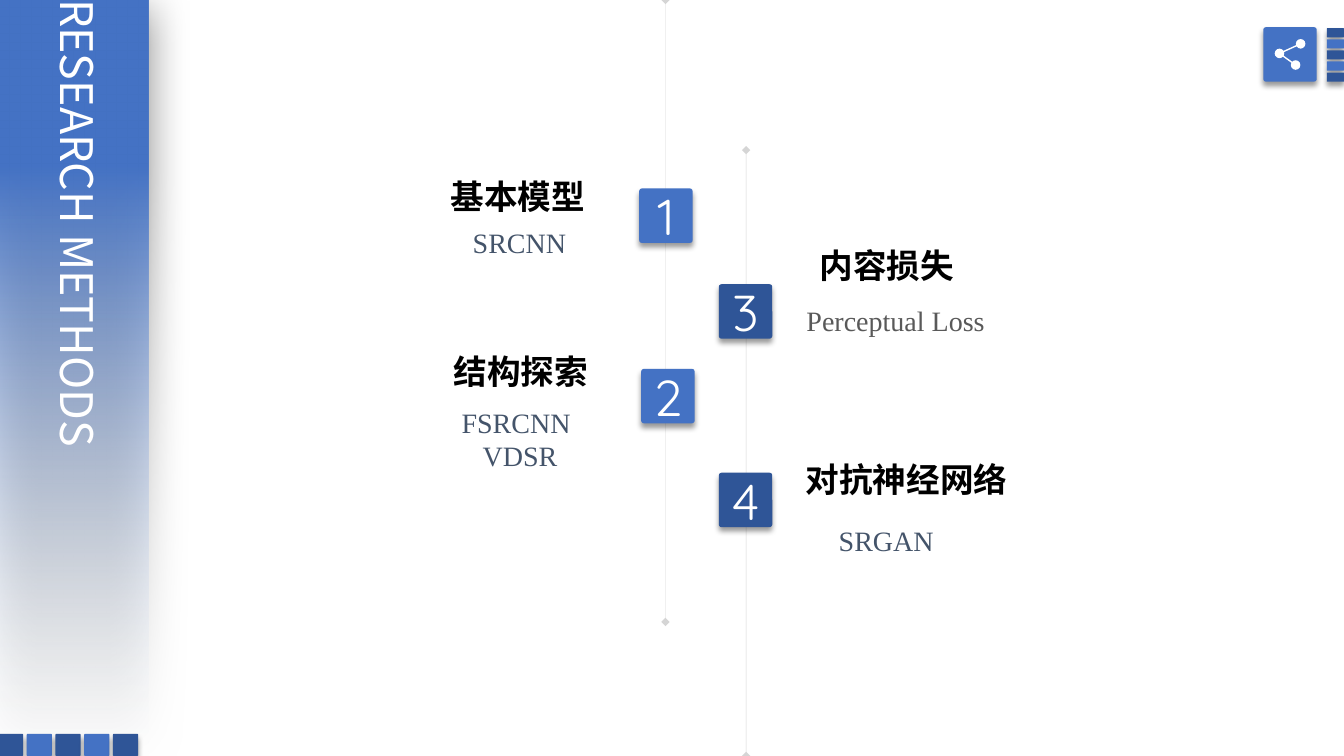
import pptx
import pptx.util
import pptx.dml.color
import pptx.enum.shapes
import pptx.enum.text
import pptx.oxml
import pptx.oxml.ns

RGBColor = pptx.dml.color.RGBColor
MSO_SHAPE = pptx.enum.shapes.MSO_SHAPE
MSO_ANCHOR = pptx.enum.text.MSO_ANCHOR
MSO_AUTO_SIZE = pptx.enum.text.MSO_AUTO_SIZE
PP_ALIGN = pptx.enum.text.PP_ALIGN
Pt = pptx.util.Pt

BLUE = RGBColor(0x44, 0x72, 0xC4)
NAVY = RGBColor(0x2F, 0x55, 0x97)
PALE = RGBColor(0xF7, 0xFA, 0xFD)
WHITE = RGBColor(0xFF, 0xFF, 0xFF)
BLACK = RGBColor(0, 0, 0)
SLATE = RGBColor(0x44, 0x54, 0x6A)
GRAY = RGBColor(0x59, 0x59, 0x59)
LINE_GRAY = RGBColor(0x80, 0x80, 0x80)

HAN, DIGIT, LATIN = "Noto Sans CJK SC", "Quicksand", "Times New Roman"

# All places and sizes are in grid cells, ten to the inch.
CELL = pptx.util.Inches(0.1)
SLIDE_COLUMNS, SLIDE_ROWS = 133.3, 75

TITLE = "RESEARCH METHODS"
TITLE_BOX = (4, -0.6, 7.4, 57.5)
BANNER = (0, 0, 14.7, 74.6)
TIMELINES = [(74, 14.9, 75), (66, 0, 61.7)]  # column, first row, last row

# number, colour, badge place, heading, heading box, models, models box, models colour
METHODS = [
    ("1", BLUE, (63.4, 18.7), "基本模型", (43.6, 17, 15.5, 5),
     ["SRCNN"], (45.9, 21.9, 11.4, 4.4), SLATE),
    ("2", BLUE, (63.6, 36.6), "结构探索", (43.9, 34.3, 15.5, 5),
     ["FSRCNN", "VDSR"], (44.8, 39.7, 13, 7.7), SLATE),
    ("3", NAVY, (71.3, 28.2), "内容损失", (80.2, 23.8, 15.5, 5),
     ["Perceptual Loss"], (79, 29.6, 19.8, 4.4), GRAY),
    ("4", NAVY, (71.3, 46.9), "对抗神经网络", (78.8, 45, 22.2, 5),
     ["SRGAN"], (82.2, 51.4, 11.6, 4.4), SLATE),
]
BADGE_SIZE = (5.3, 5.4)
SECOND_MODEL_INDENT = Pt(15)

STRIP_COLORS = [NAVY, BLUE, NAVY, BLUE, NAVY]
SHARE_BADGE = (125.3, 2.7)
SHARE_NODES = [(126.9, 5.3), (129, 4.35), (128.5, 6.45)]  # hub first
NODE_SIZE = 0.95


def cells(*lengths):
    return [round(length * CELL) for length in lengths]


def add_xml(parent, xml):
    namespace = pptx.oxml.ns.nsdecls("a")
    parent.append(pptx.oxml.parse_xml(xml.replace(" ", f" {namespace} ", 1)))


def add_alpha(color_parent, percent):
    color = color_parent.find(".//" + pptx.oxml.ns.qn("a:srgbClr"))
    add_xml(color, f'<a:alpha val="{percent * 1000}"/>')


def add_shadow(shape, alpha=40, blur=4, distance=3, angle=90):
    shape.shadow.inherit = False
    effects = shape.element.spPr.find(pptx.oxml.ns.qn("a:effectLst"))
    add_xml(effects, f'<a:outerShdw blurRad="{Pt(blur)}" dist="{Pt(distance)}" '
                     f'dir="{angle * 60000}" algn="t" rotWithShape="0"><a:srgbClr val="000000">'
                     f'<a:alpha val="{alpha * 1000}"/></a:srgbClr></a:outerShdw>')


def write(frame, text, size, font, color, bold=False, align=PP_ALIGN.LEFT,
          anchor=MSO_ANCHOR.TOP, wrap=False, fit=MSO_AUTO_SIZE.SHAPE_TO_FIT_TEXT):
    frame.text = text
    frame.word_wrap = wrap
    frame.auto_size = fit
    frame.vertical_anchor = anchor
    for paragraph in frame.paragraphs:
        paragraph.alignment = align
        paragraph.line_spacing = 1.0
        paragraph.space_before = Pt(0)
        for run in paragraph.runs:
            run.font.size, run.font.name, run.font.bold = Pt(size), font, bold
            run.font.color.rgb = color
            add_xml(run.font._element, f'<a:ea typeface="{font}"/>')


def add_block(slide, kind, box, color):
    block = slide.shapes.add_shape(kind, *cells(*box))
    block.fill.solid()
    block.fill.fore_color.rgb = color
    block.line.fill.background()
    block.shadow.inherit = False
    return block


def add_tile(slide, box, color):
    tile = add_block(slide, MSO_SHAPE.ROUNDED_RECTANGLE, box, color)
    tile.adjustments[0] = 0.05
    add_shadow(tile)
    return tile


def add_line(slide, start, end, color, width):
    line = slide.shapes.add_connector(
        pptx.enum.shapes.MSO_CONNECTOR.STRAIGHT, *cells(*start, *end))
    line.line.color.rgb = color
    line.line.width = Pt(width)
    add_xml(line.element.spPr, "<a:effectLst />")
    return line


def add_timeline(slide, column, first_row, last_row):
    line = add_line(slide, (column, first_row), (column, last_row), LINE_GRAY, 0.25)
    outline = line.line._get_or_add_ln()
    add_alpha(outline, 33)
    for end in ("headEnd", "tailEnd"):
        add_xml(outline, f'<a:{end} type="diamond"/>')


def add_banner(slide):
    banner = add_block(slide, MSO_SHAPE.RECTANGLE, BANNER, BLUE)
    banner.fill.gradient()
    banner.fill.gradient_angle = 270
    top, bottom = banner.fill.gradient_stops
    top.position, top.color.rgb = 0.22, BLUE
    bottom.position, bottom.color.rgb = 1, PALE
    add_alpha(bottom._gs, 0)
    add_shadow(banner, alpha=50, blur=31, distance=6, angle=97)


def add_title(slide):
    title = slide.shapes.title
    title.left, title.top, title.width, title.height = cells(*TITLE_BOX)
    write(title.text_frame, TITLE, 32, HAN, WHITE, align=PP_ALIGN.CENTER, wrap=True)
    title.text_frame._bodyPr.set("vert", "eaVert")
    slide.shapes.element.append(title.element)  # in front of the banner


def add_method(slide, number, color, place, heading, heading_box, models, models_box, models_color):
    badge = add_tile(slide, (*place, *BADGE_SIZE), color)
    write(badge.text_frame, number, 36, DIGIT, WHITE, align=PP_ALIGN.CENTER,
          anchor=MSO_ANCHOR.MIDDLE, wrap=True, fit=MSO_AUTO_SIZE.NONE)
    heading_text = slide.shapes.add_textbox(*cells(*heading_box)).text_frame
    write(heading_text, heading, 24, HAN, BLACK, bold=True, align=PP_ALIGN.CENTER)
    models_text = slide.shapes.add_textbox(*cells(*models_box)).text_frame
    write(models_text, "\n".join(models), 20, LATIN, models_color)
    for paragraph in models_text.paragraphs[1:]:
        paragraph._p.get_or_add_pPr().set("marL", str(SECOND_MODEL_INDENT))


def add_share_icon(slide):
    add_tile(slide, (*SHARE_BADGE, *BADGE_SIZE), BLUE)
    hub = SHARE_NODES[0]
    for node in SHARE_NODES[1:]:
        add_line(slide, hub, node, WHITE, 1)
    for column, row in SHARE_NODES:
        corner = (column - NODE_SIZE / 2, row - NODE_SIZE / 2)
        add_block(slide, MSO_SHAPE.OVAL, (*corner, NODE_SIZE, NODE_SIZE), WHITE)


def main():
    deck = pptx.Presentation()
    deck.slide_width, deck.slide_height = cells(SLIDE_COLUMNS, SLIDE_ROWS)
    slide = deck.slides.add_slide(deck.slide_layouts.get_by_name("Title Only"))
    for timeline in TIMELINES:
        add_timeline(slide, *timeline)
    add_banner(slide)
    add_title(slide)
    for i, color in enumerate(STRIP_COLORS):
        add_tile(slide, (-0.2 + 2.85 * i, 72.8, 2.5, 2.2), color)
        add_tile(slide, (131.6, 2.8 + 1.1 * i, 1.7, 0.9), color)
    for method in METHODS:
        add_method(slide, *method)
    add_share_icon(slide)
    deck.save("out.pptx")


if __name__ == "__main__":
    main()
